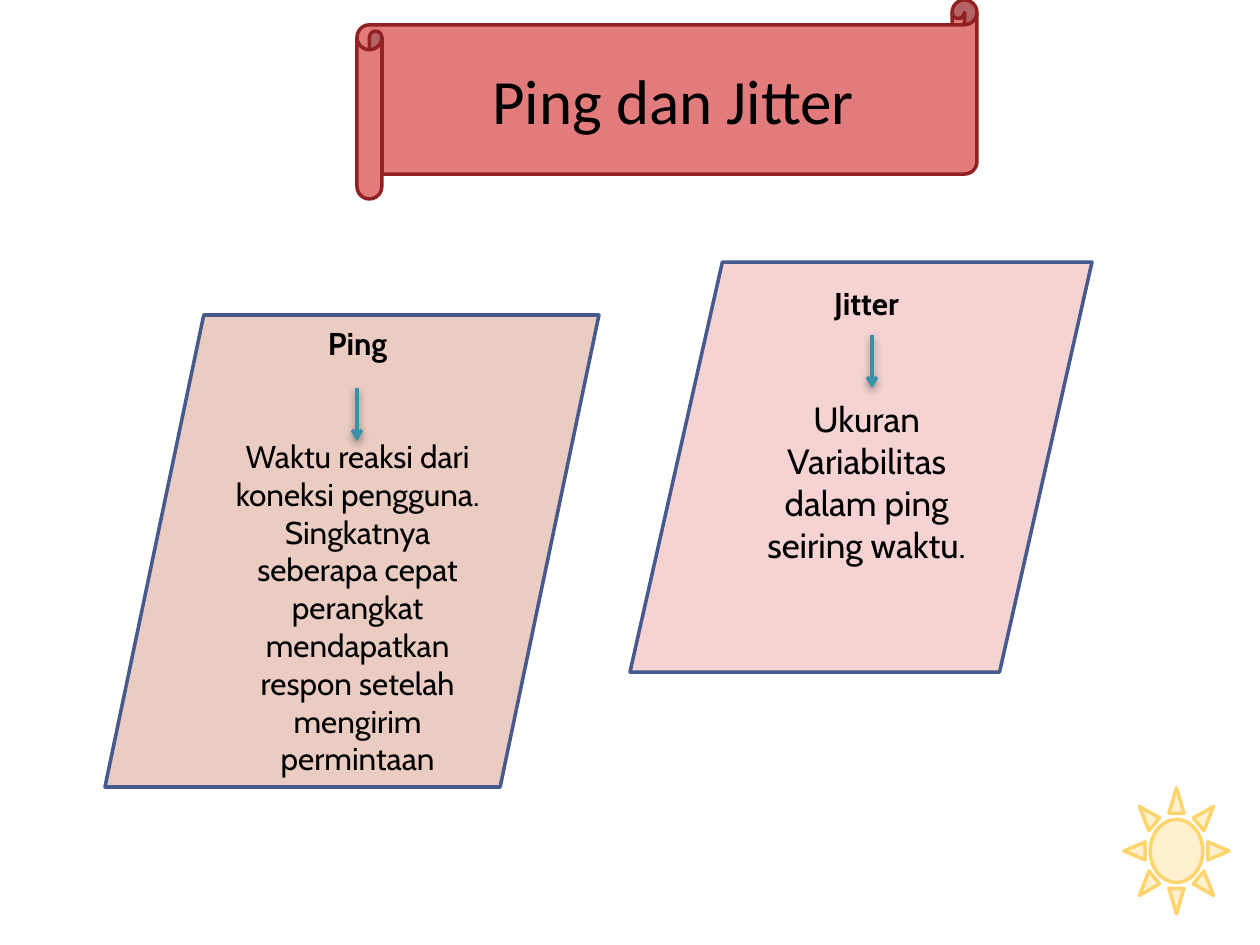
from lxml.etree import SubElement
from pptx import Presentation
from pptx.dml.color import RGBColor
from pptx.enum.shapes import MSO_CONNECTOR as Connector, MSO_SHAPE as Shape
from pptx.enum.text import MSO_ANCHOR as Anchor, PP_ALIGN as Align
from pptx.oxml.ns import qn
from pptx.util import Inches, Pt

PX = Inches(1) / 126
COLORS = {
    "text": "000000",
    "banner": "E17B7C", "banner_line": "922222",
    "sun": "FFF1CE", "sun_line": "FED46C",
    "ping": "EACCC3", "jitter": "F5D3D3", "card_line": "475A8D",
    "arrow": "3891A7",
}


def px(value):
    return round(value * PX)


def color(name):
    return RGBColor.from_string(COLORS[name])


def add_figure(page, kind, box, fill, line):
    figure = page.shapes.add_shape(kind, *map(px, box))
    figure.shadow.inherit = False
    figure.fill.solid()
    figure.fill.fore_color.rgb = color(fill)
    figure.line.color.rgb = color(line)
    figure.line.width = Pt(2)
    figure.text_frame.word_wrap = True
    return figure


def add_span(para, text, font, size, bold=False):
    para.alignment = Align.CENTER
    span = para.add_run()
    span.text = text
    span.font.name = font
    span.font.size = Pt(size)
    span.font.bold = bold
    span.font.color.rgb = color("text")


def add_banner(page, box, title):
    banner = add_figure(page, Shape.HORIZONTAL_SCROLL, box, "banner", "banner_line")
    banner.text_frame.vertical_anchor = Anchor.MIDDLE
    add_span(banner.text_frame.paragraphs[0], title, "Calibri", 36)


def add_down_arrow(page, x, y, length):
    """Draw a downward arrow with an open head and a soft shadow."""
    arrow = page.shapes.add_connector(
        Connector.STRAIGHT, px(x), px(y), px(x), px(y + length))
    arrow.line.color.rgb = color("arrow")
    arrow.line.width = Pt(2)
    SubElement(arrow.line._get_or_add_ln(), qn("a:tailEnd"), type="arrow")
    effects = SubElement(arrow._element.spPr, qn("a:effectLst"))
    shadow = SubElement(effects, qn("a:outerShdw"), blurRad=str(Pt(5)),
                        dist=str(Pt(2)), dir="5400000", rotWithShape="0")
    tone = SubElement(shadow, qn("a:srgbClr"), val="000000")
    SubElement(tone, qn("a:alpha"), val="43000")


def add_card(page, box, fill, heading, body, size, top, arrow_x):
    """Draw a slanted card: heading, arrow and body; top is the text inset."""
    card = add_figure(page, Shape.FLOWCHART_DATA, box, fill, "card_line")
    frame = card.text_frame
    frame.vertical_anchor = Anchor.TOP
    frame.margin_top = px(top)
    frame.margin_bottom = 0
    for index, text in enumerate([heading, *body]):
        para = frame.add_paragraph() if index else frame.paragraphs[0]
        para._p.get_or_add_pPr().set("marL", str(Inches(0.09)))
        if index == 1:
            para.space_before = Pt(43)
        add_span(para, text, "Cabin", size if index else 18, bold=index == 0)
    add_down_arrow(page, box[0] + arrow_x, box[1] + 73, 53)


def main():
    deck = Presentation()
    deck.slide_width, deck.slide_height = Inches(10), Inches(7.5)
    page = deck.slides.add_slide(deck.slide_layouts[6])
    add_banner(page, (357, 0, 620, 199), "Ping dan Jitter")
    add_figure(page, Shape.SUN, (1124, 788, 105, 126), "sun", "sun_line")
    add_card(page, (105, 315, 494, 472), "ping", "Ping",
             ["Waktu reaksi dari koneksi pengguna.",
              "Singkatnya seberapa cepat perangkat mendapatkan respon "
              "setelah mengirim permintaan"],
             size=18, top=9, arrow_x=252)
    add_card(page, (630, 262, 462, 410), "jitter", "Jitter",
             ["Ukuran Variabilitas dalam ping seiring waktu."],
             size=20, top=22, arrow_x=242)
    deck.save("out.pptx")


if __name__ == "__main__":
    main()
